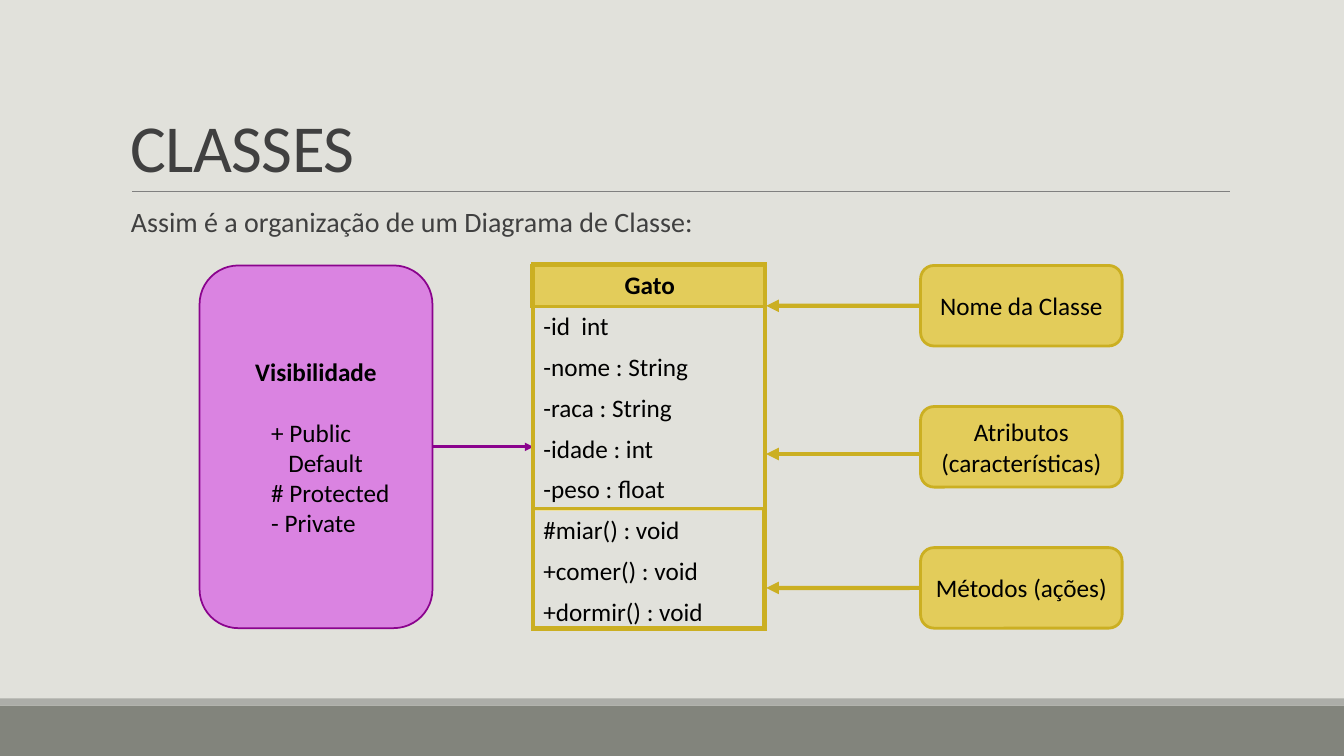
from dataclasses import dataclass

from lxml import etree
from pptx import Presentation
from pptx.dml.color import RGBColor
from pptx.enum.shapes import MSO_CONNECTOR, MSO_SHAPE
from pptx.enum.text import MSO_ANCHOR, PP_ALIGN
from pptx.oxml.ns import qn
from pptx.util import Cm, Pt

LINE = MSO_CONNECTOR.STRAIGHT
RECT, ROUND = MSO_SHAPE.RECTANGLE, MSO_SHAPE.ROUNDED_RECTANGLE
TOP, MIDDLE, BOTTOM = MSO_ANCHOR.TOP, MSO_ANCHOR.MIDDLE, MSO_ANCHOR.BOTTOM
LEFT, CENTER = PP_ALIGN.LEFT, PP_ALIGN.CENTER
LEFT_SIDE, RIGHT_SIDE = 1, 3


@dataclass(frozen=True)
class Theme:
    font: str = "Calibri"
    paper: str = "E1E1DB"
    bar: str = "82847C"
    strip: str = "ACADA8"
    rule: str = "808080"
    text: str = "404040"
    ink: str = "000000"
    gold: str = "CBAF22"
    sand: str = "E3CC5A"
    cream: str = "EEE09C"
    plum: str = "8A038D"
    pink: str = "DA83E1"
    head: int = 48
    body: int = 20
    label: int = 18


THEME = Theme()
FIELDS = ["-id  int", "-nome : String", "-raca : String", "-idade : int", "-peso : float"]
METHODS = ["#miar() : void", "+comer() : void", "+dormir() : void"]
LEVELS = [("+ Public", 1.27), ("Default", 1.7), ("# Protected", 1.27), ("- Private", 1.27)]
NOTES = [("Nome da Classe", 0), ("Atributos (características)", 0.18), ("Métodos (ações)", 0)]


def rgb(color):
    return RGBColor.from_string(color)


def style(par, size, color=THEME.ink, bold=False, align=LEFT):
    par.alignment = align
    font = par.font
    font.name, font.size, font.bold = THEME.font, Pt(size), bold
    font.color.rgb = rgb(color)


def add_box(slide, kind, box, fill, line=None, width=0):
    shape = slide.shapes.add_shape(kind, *map(Cm, box))
    shape.shadow.inherit = False
    shape.fill.solid()
    shape.fill.fore_color.rgb = rgb(fill)
    if line:
        shape.line.color.rgb = rgb(line)
        shape.line.width = Pt(width)
    else:
        shape.line.fill.background()
    shape.text_frame.word_wrap = True
    shape.text_frame.vertical_anchor = MIDDLE
    return shape


def add_line(slide, start, end, color, width, arrow=True):
    line = slide.shapes.add_connector(LINE, *map(Cm, start + end))
    line.line.color.rgb = rgb(color)
    line.line.width = Pt(width)
    props = line.element.spPr
    if arrow:
        etree.SubElement(props.find(qn("a:ln")), qn("a:tailEnd"), type="triangle")
    etree.SubElement(props, qn("a:effectLst"))
    return line


def add_text(slide, box, text, size, anchor, spacing):
    frame = slide.shapes.add_textbox(*map(Cm, box)).text_frame
    frame.word_wrap = True
    frame.vertical_anchor = anchor
    par = frame.paragraphs[0]
    par.text = text
    par.line_spacing = spacing
    style(par, size, THEME.text)
    return par


def add_base(slide, box):
    left, top, width, height = box
    slide.background.fill.solid()
    slide.background.fill.fore_color.rgb = rgb(THEME.paper)
    foot = top + height - 1.27
    add_box(slide, RECT, (left, foot, width, 1.27), THEME.bar)
    add_box(slide, RECT, (left, foot - 0.18, width, 0.18), THEME.strip)


def add_head(slide, box):
    left, top, width, height = box
    base = top + height
    add_line(slide, (left + 0.28, base), (left + width, base), THEME.rule, 0.5, False)
    title = add_text(slide, box, "CLASSES", THEME.head, BOTTOM, 0.85)
    title.runs[0].font.size = Pt(THEME.head)
    title.runs[0].font._element.set("spc", "-50")
    add_text(slide, (left, base + 0.3, width, 1.2),
             "Assim é a organização de um Diagrama de Classe:", THEME.body, TOP, 0.9)


def add_edges(cell, sides, color, width):
    props = cell._tc.get_or_add_tcPr()
    for side in "LRTB":
        edge = etree.SubElement(props, qn("a:ln" + side), w=str(Pt(width)))
        if side in sides:
            fill = etree.SubElement(edge, qn("a:solidFill"))
            etree.SubElement(fill, qn("a:srgbClr"), val=color)
        else:
            etree.SubElement(edge, qn("a:noFill"))
    cell.fill.background()


def add_grid(slide, box, rows):
    table = slide.shapes.add_table(rows, 1, *map(Cm, box)).table
    table.first_row = table.horz_banding = False
    return table


def add_frame(slide, box):
    add_edges(add_grid(slide, box, 1).cell(0, 0), "LRTB", THEME.gold, 3)


def add_class(slide, box):
    left, top, width, height = box
    rows = ["Gato"] + FIELDS + METHODS
    split = len(FIELDS) + 1
    pitch = 1.03
    table = add_grid(slide, box, len(rows))
    for i, text in enumerate(rows):
        table.rows[i].height = Cm(pitch)
        cell = table.cell(i, 0)
        cell.text = text
        sides = "LR" + "T" * (i in (0, split)) + "B" * (i in (split - 1, len(rows) - 1))
        add_edges(cell, sides, THEME.cream, 1)
        style(cell.text_frame.paragraphs[0], THEME.label, bold=i == 0,
              align=LEFT if i else CENTER)
    cell.margin_bottom = 0
    table.rows[i].height = Cm(height - i * pitch)
    name = table.cell(0, 0)
    name.fill.solid()
    name.fill.fore_color.rgb = rgb(THEME.sand)
    start = split * pitch - 0.06
    add_frame(slide, (left, top - 0.03, width - 0.03, height + 0.05))
    add_frame(slide, (left - 0.03, top, width, pitch))
    add_frame(slide, (left, top + start, width - 0.05, height - start))


def add_access(slide, box, target):
    left, top, width, height = box
    card = add_box(slide, ROUND, box, THEME.pink, THEME.plum, 1.25)
    frame = card.text_frame
    par = frame.paragraphs[0]
    par.text = "Visibilidade"
    par.space_after = Pt(22)
    style(par, THEME.label, bold=True, align=CENTER)
    for text, indent in LEVELS:
        par = frame.add_paragraph()
        par.text = text
        style(par, THEME.label)
        par._p.get_or_add_pPr().set("marL", str(Cm(indent)))
    mid = top + height / 2
    line = add_line(slide, (left + width, mid), (target, mid), THEME.plum, 2)
    line.begin_connect(card, RIGHT_SIDE)


def add_notes(slide, box, target):
    left, top, width, height = box
    tall = 2.03
    step = (height - tall) / (len(NOTES) - 1)
    for i, (text, shift) in enumerate(NOTES):
        y = top + i * step
        note = add_box(slide, ROUND, (left, y, width, tall), THEME.sand, THEME.gold, 2)
        par = note.text_frame.paragraphs[0]
        par.text = text
        style(par, THEME.label, align=CENTER)
        mid = y + tall / 2 + shift
        line = add_line(slide, (left, mid), (target, mid), THEME.gold, 3)
        if not shift:
            line.begin_connect(note, LEFT_SIDE)


def main():
    deck = Presentation()
    deck.slide_width, deck.slide_height = Cm(33.87), Cm(19.05)
    slide = deck.slides.add_slide(deck.slide_layouts[6])
    top, tall, wide, left = 6.69, 9.14, 5.87, 13.44
    add_base(slide, (0, 0, 33.87, 19.05))
    add_head(slide, (3.05, 0.79, 27.94, 4.04))
    add_access(slide, (5.03, top, wide, tall), left)
    add_notes(slide, (23.2, top, 5.08, tall), left + wide)
    add_class(slide, (left, top, wide, tall))
    deck.save("out.pptx")


if __name__ == "__main__":
    main()
